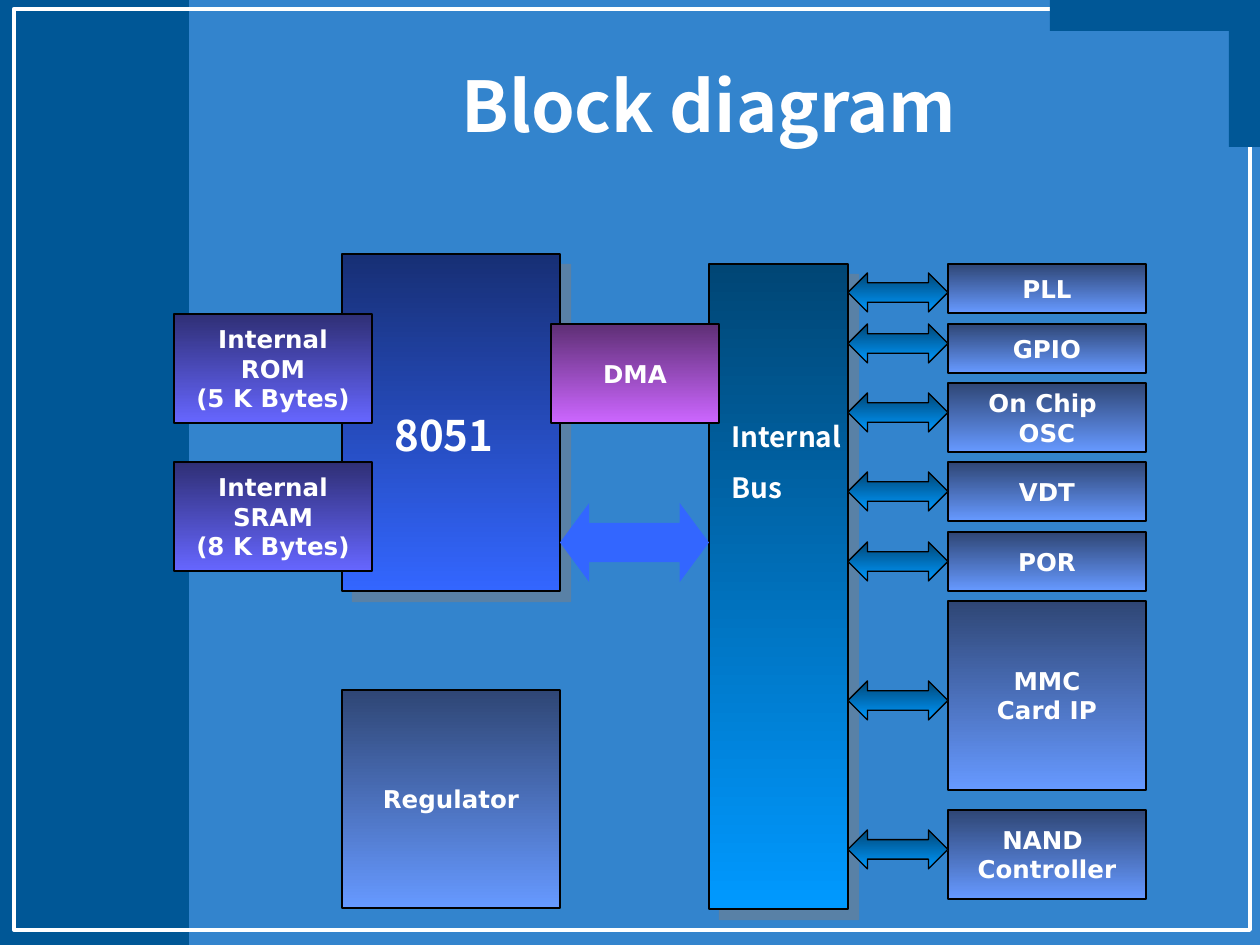
import pptx
import pptx.util
from lxml import etree
from pptx.dml.color import RGBColor
from pptx.enum.shapes import MSO_SHAPE
from pptx.enum.text import MSO_ANCHOR, PP_ALIGN
from pptx.oxml.ns import qn

PX = pptx.util.Inches(1) // 126
COLORS = {
    "background": "3384CD", "band": "005796", "white": "FFFFFF",
    "black": "000000", "arrow": "3366FF", "shadow": "808080",
}
GRADIENTS = {
    "bus": ("004675", "0099FF"), "core": ("172F75", "3366FF"),
    "memory": ("2F2F75", "6666FF"), "dma": ("5E2F75", "CC66FF"),
    "peripheral": ("2F4675", "6699FF"),
}
FONTS = {
    "title": {"name": "Noto Sans CJK KR", "size": 40, "bold": True},
    "core": {"name": "Noto Sans CJK KR", "size": 24, "bold": True},
    "bus": {"name": "Noto Sans CJK KR", "size": 16, "bold": True},
    "block": {"name": "DejaVu Sans", "size": 14, "bold": True},
}

# Content: boxes are left, top, width, height in px
TITLE = ("Block diagram", (189, 42, 1040, 126))
BANDS = [(0, 0, 189, 945), (1050, 0, 210, 31), (1229, 0, 31, 147)]
FRAME = (14, 9, 1236, 921)
BUS = (709, 264, 139, 645)
CORE = (342, 254, 218, 337)
BLOCKS = [
    (["Internal", "ROM", "(5 K Bytes)"], "memory", (174, 314, 198, 109)),
    (["Internal", "SRAM", "(8 K Bytes)"], "memory", (174, 462, 198, 109)),
    (["DMA"], "dma", (551, 324, 168, 99)),
    (["Regulator"], "peripheral", (342, 690, 218, 218)),
]
LABELS = [
    (["8051"], "core", (382, 403, 169, 63)),
    (["Internal", "Bus"], "bus", (719, 413, 169, 97)),
]
# Lines, top and height of the block, top of its arrow
PERIPHERALS = [
    (["PLL"], 264, 49, 273),
    (["GPIO"], 324, 49, 324),
    (["On Chip ", "OSC"], 383, 69, 393),
    (["VDT"], 462, 59, 472),
    (["POR"], 532, 59, 542),
    (["MMC", "Card IP"], 601, 189, 681),
    (["NAND ", "Controller"], 810, 89, 830),
]
PERIPHERAL_LEFT, PERIPHERAL_WIDTH = 948, 198
BUS_ARROW_HEIGHT = 39
CORE_ARROW_TOP, CORE_ARROW_HEIGHT = 503, 79


def rgb(name):
    return RGBColor.from_string(COLORS.get(name, name))


def emu(box):
    return [value * PX for value in box]


def add_shape(page, kind, box, fill=None, line=None, width=0.75):
    shape = page.shapes.add_shape(kind, *emu(box))
    shape.shadow.inherit = False
    if fill in GRADIENTS:
        shape.fill.gradient()
        shape.fill.gradient_angle = 270
        for stop, color in zip(shape.fill.gradient_stops, GRADIENTS[fill]):
            stop.color.rgb = rgb(color)
    elif fill:
        shape.fill.solid()
        shape.fill.fore_color.rgb = rgb(fill)
    else:
        shape.fill.background()
    if line:
        shape.line.color.rgb = rgb(line)
        shape.line.width = pptx.util.Pt(width)
    else:
        shape.line.fill.background()
    return shape


def add_arrow(page, box, fill, head, line=None):
    arrow = add_shape(page, MSO_SHAPE.LEFT_RIGHT_ARROW, box, fill, line)
    arrow.adjustments[0] = 0.5
    arrow.adjustments[1] = head


def add_shadow(shape):
    effects = shape._element.spPr.find(qn("a:effectLst"))
    shadow = etree.SubElement(effects, qn("a:outerShdw"), blurRad="0",
                              dist=str(pptx.util.Pt(8.5)), dir=str(45 * 60000),
                              algn="ctr", rotWithShape="0")
    color = etree.SubElement(shadow, qn("a:srgbClr"), val=COLORS["shadow"])
    etree.SubElement(color, qn("a:alpha"), val="50000")


def write(shape, lines, font, align, anchor, wrap, gap=0):
    frame = shape.text_frame
    frame.word_wrap = wrap
    frame.vertical_anchor = anchor
    for index, line in enumerate(lines):
        para = frame.add_paragraph() if index else frame.paragraphs[0]
        para.alignment = align
        para.space_before = pptx.util.Pt(gap if index else 0)
        span = para.add_run()
        span.text = line
        for key, value in FONTS[font].items():
            setattr(span.font, key, pptx.util.Pt(value) if key == "size" else value)
        span.font.color.rgb = rgb("white")


def add_block(page, lines, fill, box):
    block = add_shape(page, MSO_SHAPE.RECTANGLE, box, fill, "black")
    write(block, lines, "block", PP_ALIGN.CENTER, MSO_ANCHOR.MIDDLE, False)


def main():
    deck = pptx.Presentation()
    deck.slide_width, deck.slide_height = emu((1260, 945))
    page = deck.slides.add_slide(deck.slide_layouts[5])
    page.background.fill.solid()
    page.background.fill.fore_color.rgb = rgb("background")

    # Bands and frame
    add_shape(page, MSO_SHAPE.RECTANGLE, BANDS[0], "band")
    add_shape(page, MSO_SHAPE.RECTANGLE, FRAME, None, "white", 2.25)
    for band in BANDS[1:]:
        add_shape(page, MSO_SHAPE.RECTANGLE, band, "band")

    # Title
    text, box = TITLE
    title = page.shapes.title
    title.left, title.top, title.width, title.height = emu(box)
    write(title, [text], "title", PP_ALIGN.CENTER, MSO_ANCHOR.MIDDLE, True)

    # Bus and processor core, joined by a wide arrow
    for box, fill in [(BUS, "bus"), (CORE, "core")]:
        add_shadow(add_shape(page, MSO_SHAPE.RECTANGLE, box, fill, "black"))
    core_right, bus_right = CORE[0] + CORE[2], BUS[0] + BUS[2]
    add_arrow(page, (core_right, CORE_ARROW_TOP, BUS[0] - core_right,
                     CORE_ARROW_HEIGHT), "arrow", 0.37)

    # Memories, DMA, regulator and labels
    for block in BLOCKS:
        add_block(page, *block)
    for lines, font, box in LABELS:
        label = page.shapes.add_textbox(*emu(box))
        write(label, lines, font, PP_ALIGN.LEFT, MSO_ANCHOR.TOP, True, gap=10)

    # Peripherals and their bus arrows
    for lines, top, height, arrow_top in PERIPHERALS:
        add_block(page, lines, "peripheral",
                  (PERIPHERAL_LEFT, top, PERIPHERAL_WIDTH, height))
        add_arrow(page, (bus_right, arrow_top, PERIPHERAL_LEFT - bus_right,
                         BUS_ARROW_HEIGHT), "bus", 0.5, "black")

    deck.save("out.pptx")


if __name__ == "__main__":
    main()
